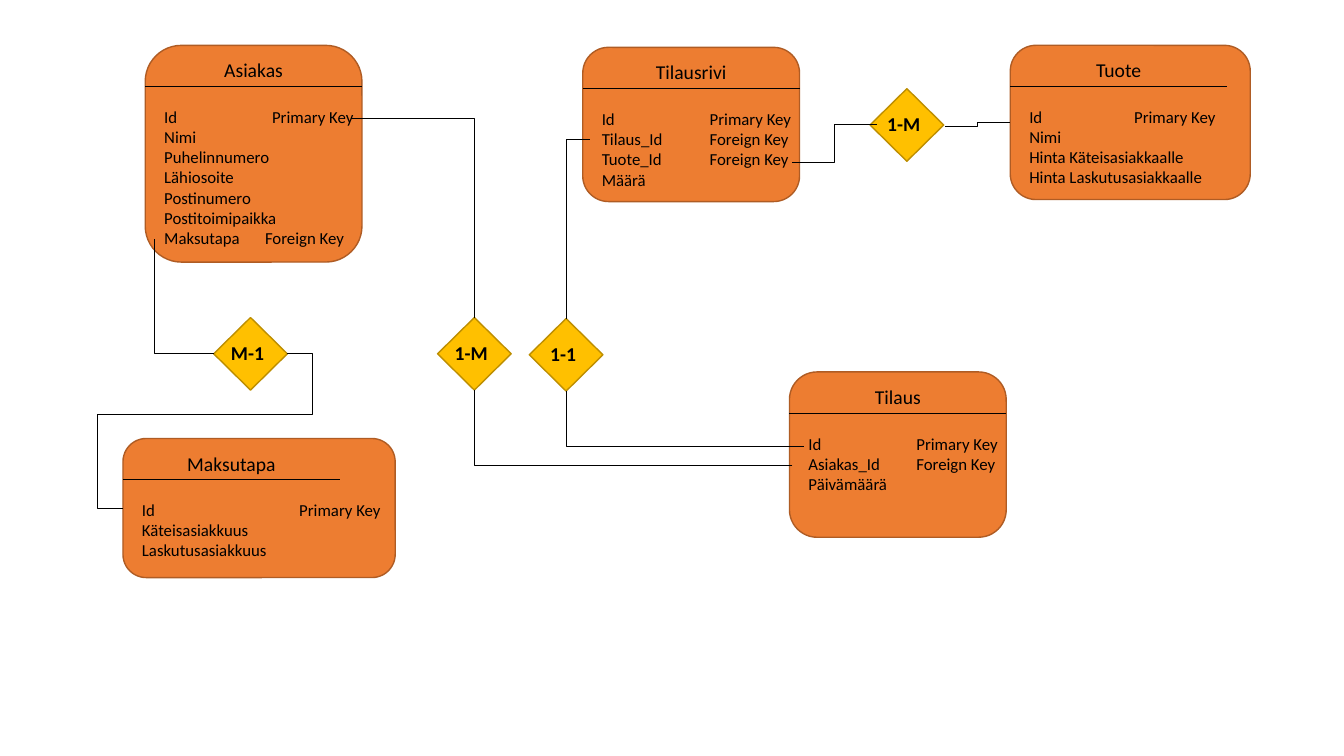
from pptx import Presentation
from pptx.dml.color import RGBColor
from pptx.enum.shapes import MSO_CONNECTOR as Link, MSO_SHAPE as Form
from pptx.enum.text import MSO_ANCHOR as Anchor, PP_ALIGN as Align
from pptx.oxml.ns import qn
from pptx.util import Inches, Pt
from lxml import etree

PK, FK = "Primary Key", "Foreign Key"
HEAD = 2.15
TABLES = [
    ("Asiakas", 1.44, 0.45, 2.15, 2.15, 1.07,
     [("Id", PK), "Nimi", "Puhelinnumero", "Lähiosoite", "Postinumero",
      "Postitoimipaikka", ("Maksutapa", FK, 1.0)]),
    ("Tilausrivi", 5.78, 0.47, 2.15, 1.53, 1.07,
     [("Id", PK), ("Tilaus_Id", FK), ("Tuote_Id", FK), "Määrä"]),
    ("Maksutapa", 1.22, 4.35, 2.7, 1.38, 1.56,
     [("Id", PK), "Käteisasiakkuus", "Laskutusasiakkuus"]),
    ("Tuote", 10.02, 0.45, 2.38, 1.53, 1.04,
     [("Id", PK), "Nimi", "Hinta Käteisasiakkaalle",
      "Hinta Laskutusasiakkaalle"]),
    ("Tilaus", 7.83, 3.69, 2.15, 1.64, 1.07,
     [("Id", PK), ("Asiakas_Id", FK), "Päivämäärä"]),
]
RATIOS = [("M-1", 2.12, 3.15), ("1-M", 4.34, 3.15),
          ("1-M", 8.63, 0.88), ("1-1", 5.25, 3.16)]
BENDS = [
    (2, 2.12, 3.51, 1.53, 2.37, []),
    (5, 2.85, 3.51, 1.22, 5.04, [-15300, 39200, 115300]),
    (3, 10.02, 1.21, 9.37, 1.25, [50000]),
    (2, 3.48, 1.17, 4.71, 3.15, []),
    (2, 7.86, 4.62, 4.71, 3.87, []),
    (2, 7.97, 4.43, 5.62, 3.88, []),
    (2, 5.85, 1.38, 5.62, 3.16, []),
    (3, 8.7, 1.23, 7.86, 1.61, [50000]),
]


def color(code):
    return RGBColor.from_string(code)


def style(para, size, bold=False):
    font = para.font
    font.name, font.size, font.bold = "Calibri", Pt(size), bold
    font.color.rgb = color("000000")


def block(form, x, y, w, h, fill, edge):
    shape = deck.add_shape(form, *map(Inches, (x, y, w, h)))
    shape.shadow.inherit = False
    shape.fill.solid()
    shape.fill.fore_color.rgb = color(fill)
    shape.line.color.rgb = color(edge)
    shape.line.width = Pt(1)
    return shape


def line(kind, *ends):
    link = deck.add_connector(kind, *map(Inches, ends))
    link.line.color.rgb = color("000000")
    link.line.width = Pt(0.5)
    etree.SubElement(link._element.spPr, qn("a:effectLst"))
    return link


def label(x, y, w, h):
    frame = deck.add_textbox(*map(Inches, (x, y, w, h))).text_frame
    frame.word_wrap = True
    return frame


def tab(para, pos):
    stops = etree.SubElement(para._p.get_or_add_pPr(), qn("a:tabLst"))
    etree.SubElement(stops, qn("a:tab"), pos=str(Inches(pos)), algn="l")


def table(name, x, y, w, h, stop, rows):
    block(Form.ROUNDED_RECTANGLE, x, y, w, h, "ED7D31", "AF5C24")
    line(Link.STRAIGHT, x, y + 0.41, x + HEAD, y + 0.41)
    title = label(x, y + 0.08, HEAD, 0.34).paragraphs[0]
    title.text, title.alignment = name, Align.CENTER
    style(title, 14)
    body = label(x + 0.09, y + 0.56, w, 0.1 + 0.2 * len(rows))
    for i, row in enumerate(rows):
        para = body.add_paragraph() if i else body.paragraphs[0]
        if isinstance(row, tuple):
            para.text = "\t".join(row[:2])
            style(para, 12)
            tab(para, row[2] if len(row) > 2 else stop)
        else:
            para.text = row
            style(para, 12)


def ratio(text, x, y):
    frame = block(Form.DIAMOND, x, y, 0.73, 0.72, "FFC000", "BD8E00").text_frame
    frame.word_wrap = False
    frame.vertical_anchor = Anchor.MIDDLE
    frame.margin_left = frame.margin_top = 0
    frame.margin_right, frame.margin_bottom = Inches(0.06), Inches(0.03)
    para = frame.paragraphs[0]
    para.text, para.alignment = text, Align.CENTER
    style(para, 14, True)


def bend(parts, x1, y1, x2, y2, turns):
    link = line(Link.ELBOW, x1, y1, x2, y2)
    geom = link._element.spPr.find(qn("a:prstGeom"))
    geom.set("prst", f"bentConnector{parts}")
    guides = geom.find(qn("a:avLst"))
    for i, turn in enumerate(turns, 1):
        etree.SubElement(guides, qn("a:gd"), name=f"adj{i}", fmla=f"val {turn}")


show = Presentation()
show.slide_width, show.slide_height = Inches(13.33), Inches(7.5)
deck = show.slides.add_slide(show.slide_layouts[6]).shapes
for item in TABLES:
    table(*item)
for item in RATIOS:
    ratio(*item)
for item in BENDS:
    bend(*item)
show.save("out.pptx")
